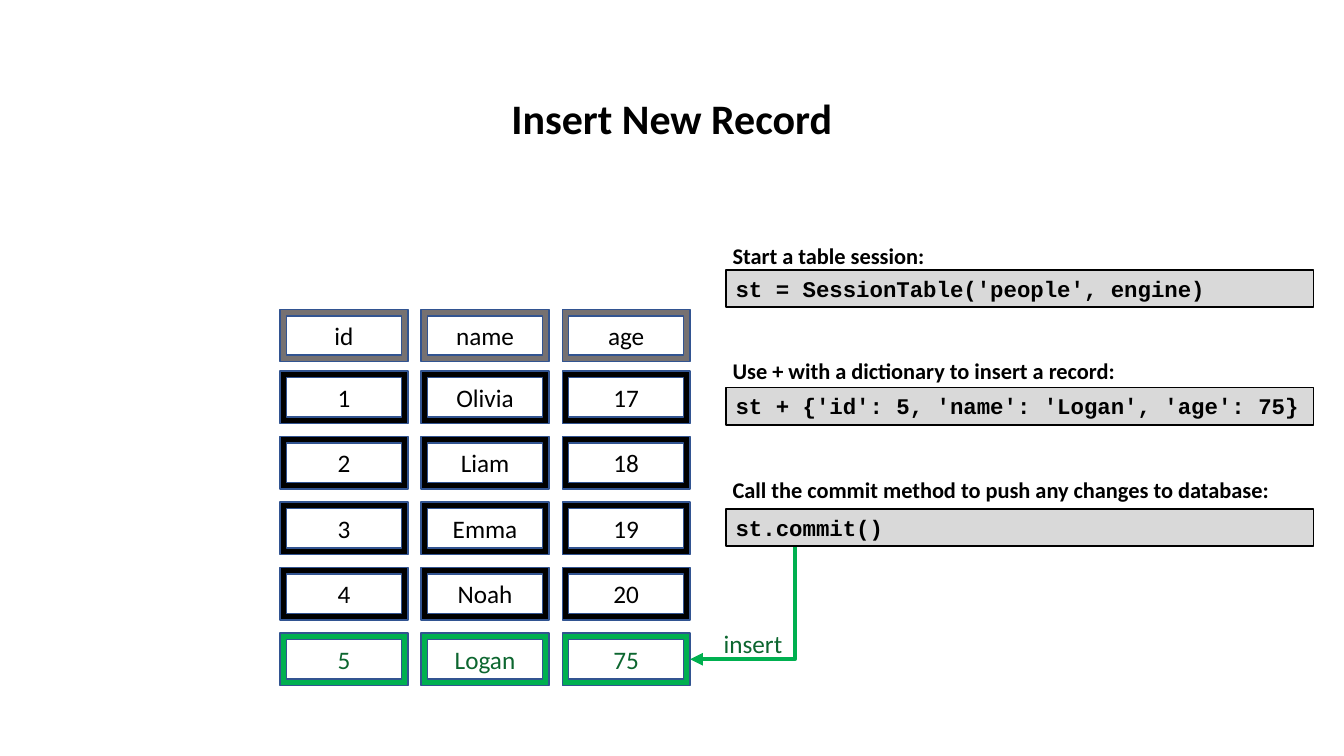
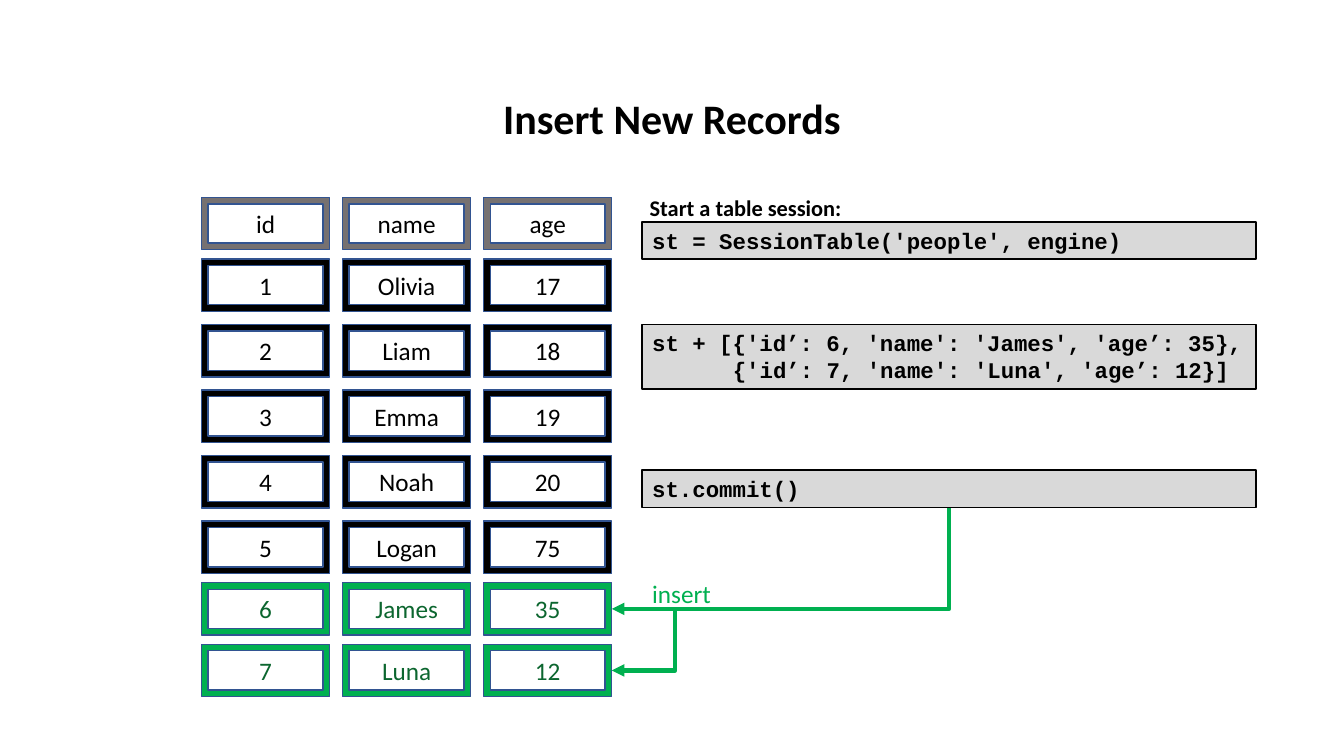
from dataclasses import dataclass

from lxml.etree import SubElement
from pptx import Presentation
from pptx.dml.color import RGBColor
from pptx.enum.shapes import MSO_CONNECTOR, MSO_SHAPE
from pptx.enum.text import MSO_ANCHOR, MSO_AUTO_SIZE, PP_ALIGN
from pptx.oxml.ns import qn
from pptx.shapes.autoshape import Shape
from pptx.slide import Slide
from pptx.text.text import TextFrame
from pptx.util import Pt

# Shared look
BLACK = RGBColor(0x00, 0x00, 0x00)
GREY = RGBColor(0x76, 0x71, 0x71)
CODE_FILL = RGBColor(0xD9, 0xD9, 0xD9)
CELL_LINE = RGBColor(0x32, 0x54, 0x91)
GREEN = RGBColor(0x00, 0xB0, 0x50)
DARK_GREEN = RGBColor(0x0C, 0x66, 0x2F)
SANS, MONO = "Calibri", "Courier New"

# Record grid, in points
CELL_W, CELL_H = 91.4, 37.4
COL_STEP, ROW_STEP, TIGHT_STEP = 100.8, 46.8, 44
LINE_H = 26.6
CODE_INDENT = 57.6  # six characters of 16 pt code

HEADER = ("id", "name", "age")
PEOPLE = [("1", "Olivia", "17"), ("2", "Liam", "18"),
          ("3", "Emma", "19"), ("4", "Noah", "20")]
LOGAN = ("5", "Logan", "75")


@dataclass
class Box:
    """Label or code box; all lengths in points."""
    text: str
    left: float
    top: float
    width: float
    height: float = LINE_H


@dataclass
class Arrow:
    """Corner arrow that goes down from (x, y), then left to a new row."""
    x: float
    y: float
    new_row: int


@dataclass
class Page:
    title: str
    left: float
    top: float
    old: list[tuple[str, ...]]
    new: list[tuple[str, ...]]
    new_step: float
    labels: list[Box]
    codes: list[Box]
    insert: Box
    insert_color: RGBColor
    arrows: list[Arrow]


def write(tf: TextFrame, text: str, *, size: float, color: RGBColor = BLACK,
          bold: bool = False, font: str = SANS,
          align: PP_ALIGN = PP_ALIGN.LEFT,
          anchor: MSO_ANCHOR = MSO_ANCHOR.TOP, indent: float = 0) -> None:
    """Write one paragraph per line; indent applies after the first."""
    tf.word_wrap = True
    tf.vertical_anchor = anchor
    for i, line in enumerate(text.split("\n")):
        p = tf.add_paragraph() if i else tf.paragraphs[0]
        p.alignment = align
        if i and indent:
            p._p.get_or_add_pPr().set("marL", str(Pt(indent)))
        r = p.add_run()
        r.text = line
        r.font.name, r.font.size, r.font.bold = font, Pt(size), bold
        r.font.color.rgb = color


def add_title(s: Slide, text: str) -> None:
    sp = s.shapes.title
    sp.left, sp.top, sp.width, sp.height = Pt(236), Pt(62.6), Pt(488), Pt(44)
    sp.text_frame.auto_size = MSO_AUTO_SIZE.NONE
    write(sp.text_frame, text, size=30, bold=True, align=PP_ALIGN.CENTER)


def add_box(s: Slide, preset: MSO_SHAPE, box: Box, fill: RGBColor,
            line: RGBColor, weight: float) -> Shape:
    sp = s.shapes.add_shape(preset, Pt(box.left), Pt(box.top),
                            Pt(box.width), Pt(box.height))
    sp.shadow.inherit = False
    sp.fill.solid()
    sp.fill.fore_color.rgb = fill
    sp.line.color.rgb = line
    sp.line.width = Pt(weight)
    return sp


def add_row(s: Slide, values: tuple[str, ...], left: float, top: float,
            fill: RGBColor, color: RGBColor = BLACK) -> Shape:
    """Draw one record and return its last cell."""
    for col, value in enumerate(values):
        cell = Box(value, left + col * COL_STEP, top, CELL_W, CELL_H)
        sp = add_box(s, MSO_SHAPE.FRAME, cell, fill, CELL_LINE, 1)
        write(sp.text_frame, value, size=18, color=color,
              align=PP_ALIGN.CENTER, anchor=MSO_ANCHOR.MIDDLE)
    return sp


def add_label(s: Slide, box: Box, *, size: float = 16, bold: bool = True,
              color: RGBColor = BLACK) -> None:
    sp = s.shapes.add_textbox(Pt(box.left), Pt(box.top),
                              Pt(box.width), Pt(box.height))
    write(sp.text_frame, box.text, size=size, bold=bold, color=color)


def add_code(s: Slide, box: Box) -> None:
    sp = add_box(s, MSO_SHAPE.RECTANGLE, box, CODE_FILL, BLACK, 1.25)
    write(sp.text_frame, box.text, size=16, bold=True, font=MONO,
          indent=CODE_INDENT)


def add_arrow(s: Slide, arrow: Arrow, cell: Shape) -> None:
    x0, y0 = Pt(arrow.x), Pt(arrow.y)
    x1, y1 = cell.left + cell.width, cell.top + cell.height // 2
    # The corner preset runs right then down; a quarter turn swaps its sides
    w, h = y1 - y0, x0 - x1
    left, top = (x0 + x1 - w) // 2, (y0 + y1 - h) // 2
    c = s.shapes.add_connector(MSO_CONNECTOR.ELBOW, left, top,
                               left + w, top + h)
    c.line.color.rgb = GREEN
    c.line.width = Pt(3)
    spPr = c._element.spPr
    spPr.find(qn("a:xfrm")).set("rot", "5400000")
    spPr.find(qn("a:prstGeom")).set("prst", "bentConnector2")
    SubElement(spPr.find(qn("a:ln")), qn("a:tailEnd"), type="triangle")
    SubElement(spPr, qn("a:effectLst"))
    # Glue the head to the right side of the cell
    SubElement(c._element.find(".//" + qn("p:cNvCxnSpPr")), qn("a:endCxn"),
               id=str(cell.shape_id), idx="3")


def add_page(prs: Presentation, page: Page) -> None:
    s = prs.slides.add_slide(prs.slide_layouts[5])
    add_title(s, page.title)

    # Records
    add_row(s, HEADER, page.left, page.top, GREY)
    first = page.top + TIGHT_STEP
    for i, row in enumerate(page.old):
        add_row(s, row, page.left, first + i * ROW_STEP, BLACK)
    last_old = first + (len(page.old) - 1) * ROW_STEP
    ends = [add_row(s, row, page.left, last_old + i * page.new_step,
                    GREEN, DARK_GREEN)
            for i, row in enumerate(page.new, start=1)]

    # Steps and arrows
    for arrow in page.arrows:
        add_arrow(s, arrow, ends[arrow.new_row])
    for box in page.codes:
        add_code(s, box)
    for box in page.labels:
        add_label(s, box)
    add_label(s, page.insert, size=18, bold=False, color=page.insert_color)


START = "Start a table session:"
SESSION = "st = SessionTable('people', engine)"
COMMIT = "st.commit()"

PAGES = [
    Page(
        title="Insert New Record", left=200, top=221,
        old=PEOPLE, new=[LOGAN], new_step=ROW_STEP,
        labels=[
            Box(START, 516.2, 169.2, 352),
            Box("Use + with a dictionary to insert a record:",
                516.2, 251.5, 420),
            Box("Call the commit method to push any changes to database:",
                516.2, 336.5, 421),
        ],
        codes=[
            Box(SESSION, 518.4, 193, 419.8),
            Box("st + {'id': 5, 'name': 'Logan', 'age': 75}",
                518.4, 276.8, 419.8),
            Box(COMMIT, 518.4, 363.6, 419.8),
        ],
        insert=Box("insert", 509.8, 445, 57.6, 29),
        insert_color=DARK_GREEN,
        arrows=[Arrow(567.6, 390.2, 0)],
    ),
    Page(
        title="Insert New Records", left=144, top=141,
        old=PEOPLE + [LOGAN],
        new=[("6", "James", "35"), ("7", "Luna", "12")], new_step=TIGHT_STEP,
        labels=[Box(START, 457, 134.8, 352)],
        codes=[
            Box(SESSION, 458.8, 158.6, 438.5),
            Box("st + [{'id’: 6, 'name': 'James', 'age’: 35},\n"
                "{'id’: 7, 'name': 'Luna', 'age’: 12}]",
                458.8, 231.8, 438.5, 46),
            Box(COMMIT, 458.8, 336, 438.5),
        ],
        insert=Box("insert", 458.8, 409.6, 57.6, 29),
        insert_color=GREEN,
        arrows=[Arrow(678, 362.6, 0), Arrow(482.4, 434, 1)],
    ),
]

prs = Presentation()
prs.slide_width, prs.slide_height = Pt(960), Pt(540)
for page in PAGES:
    add_page(prs, page)
prs.save("out.pptx")
